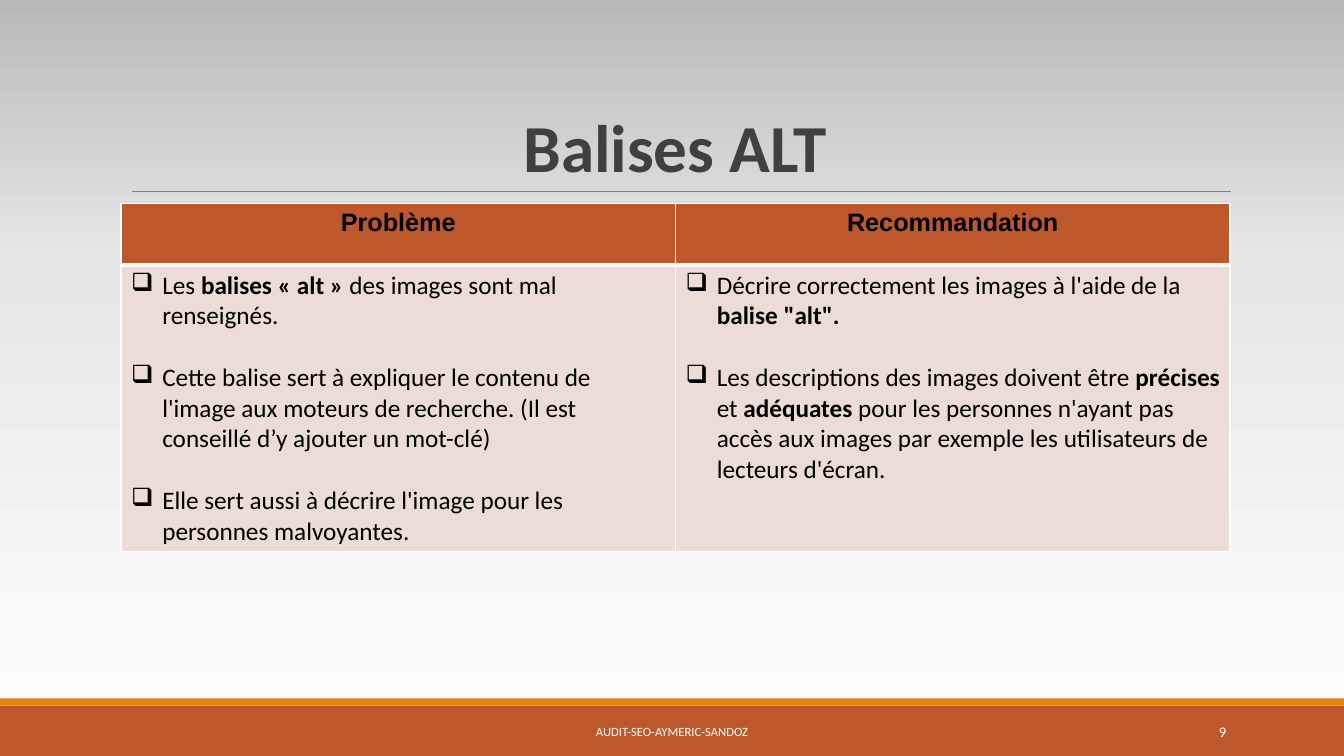
"""Build the 'Balises ALT' slide of an SEO audit."""
from copy import deepcopy

from lxml.etree import SubElement
from pptx import Presentation
from pptx.dml.color import RGBColor
from pptx.enum.shapes import MSO_CONNECTOR as Connector, MSO_SHAPE as Shape
from pptx.enum.text import MSO_ANCHOR as Anchor, PP_ALIGN as Align
from pptx.oxml.ns import qn
from pptx.util import Inches, Pt

RUST = RGBColor(0xBD, 0x58, 0x2C)
ORANGE = RGBColor(0xE4, 0x83, 0x12)
BLUSH = RGBColor(0xEB, 0xDC, 0xD5)
GREY = RGBColor(0x80, 0x80, 0x80)
CHARCOAL = RGBColor(0x40, 0x40, 0x40)
BLACK = RGBColor(0, 0, 0)
WHITE = RGBColor(0xFF, 0xFF, 0xFF)
BACKDROP = [
    (0, RGBColor(0xFE, 0xFE, 0xFE)),
    (0.65, RGBColor(0xE7, 0xE7, 0xE7)),
    (1, RGBColor(0xB9, 0xB9, 0xB9)),
]
COLUMNS, ROWS = 133.3, 75
LEFT, SPAN = 12, 110

HEADINGS = ["Problème", "Recommandation"]
PROBLEMS = [
    [("Les ", False), ("balises «\u00a0alt\u00a0» ", True),
     ("des images sont mal renseignés.", False)],
    [("Cette balise sert à expliquer le contenu de l'image aux moteurs de "
      "recherche. (Il est conseillé d’y ajouter un mot-clé)", False)],
    [("Elle sert aussi à décrire l'image pour les personnes malvoyantes.", False)],
]
ADVICE = [
    [("Décrire correctement les images à l'aide de la ", False),
     ('balise "alt".', True)],
    [("Les descriptions des images doivent être ", False), ("précises", True),
     (" et ", False), ("adéquates", True),
     (" pour les personnes n'ayant pas accès aux images par exemple les "
      "utilisateurs de lecteurs d'écran.", False)],
]


class Deck:
    """Hold the style, the grid and the current slide."""

    def __init__(self):
        self.show = Presentation()
        self.show.slide_width, self.show.slide_height = Inches(13.33), Inches(7.5)
        self.slide = self.show.slides.add_slide(self.show.slide_layouts[5])
        self.shapes = self.slide.shapes

    def x(self, columns):
        return round(self.show.slide_width * columns / COLUMNS)

    def y(self, rows):
        return round(self.show.slide_height * rows / ROWS)

    def box(self, left, top, width, height):
        return self.x(left), self.y(top), self.x(width), self.y(height)

    def style(self, paragraph, size, color, align=Align.LEFT, bold=None, name="Calibri"):
        paragraph.alignment = align
        font = paragraph.font
        font.size, font.name, font.bold = Pt(size), name, bold
        font.color.rgb = color

    def backdrop(self, stops):
        fill = self.slide.background.fill
        fill.gradient()
        fill.gradient_angle = 90
        stop_list = next(self.slide.element.iter(qn("a:gsLst")))
        stop_list.append(deepcopy(stop_list[0]))
        for stop, (position, color) in zip(fill.gradient_stops, stops):
            stop.position, stop.color.rgb = position, color

    def band(self, top, height, color):
        band = self.shapes.add_shape(Shape.RECTANGLE, *self.box(0, top, COLUMNS, height))
        band.shadow.inherit = False
        band.fill.solid()
        band.fill.fore_color.rgb = color
        band.line.fill.background()

    def rule(self, left, right, row):
        rule = self.shapes.add_connector(
            Connector.STRAIGHT, self.x(left), self.y(row), self.x(right), self.y(row))
        rule.line.color.rgb, rule.line.width = GREY, Pt(0.5)
        SubElement(rule.element.spPr, qn("a:effectLst"))

    def title(self, text, *place):
        title = self.shapes.title
        title.left, title.top, title.width, title.height = self.box(*place)
        title.text_frame.vertical_anchor = Anchor.BOTTOM
        title.text_frame.text = text
        heading = title.text_frame.paragraphs[0]
        heading.line_spacing = 0.85
        self.style(heading, 48, CHARCOAL, Align.CENTER, True)
        heading.runs[0].font.element.set("spc", "-50") if hasattr(
            heading.runs[0].font, "element") else heading.font

    def label(self, text, place, size, align):
        frame = self.shapes.add_textbox(*self.box(*place)).text_frame
        frame.word_wrap, frame.vertical_anchor = True, Anchor.MIDDLE
        frame.text = text
        self.style(frame.paragraphs[0], size, WHITE, align)

    def borders(self, cell, bottom=1):
        properties = cell.fill and cell._tc.get_or_add_tcPr()
        for position, (side, width) in enumerate(
                [("lnL", 1), ("lnR", 1), ("lnT", 1), ("lnB", bottom)]):
            line = SubElement(properties, qn(f"a:{side}"), w=str(Pt(width)))
            SubElement(SubElement(line, qn("a:solidFill")), qn("a:srgbClr"), val=str(WHITE))
            properties.insert(position, line)

    def bullets(self, frame, items):
        for index, item in enumerate(items):
            entry = frame.add_paragraph() if index else frame.paragraphs[0]
            for text, bold in item:
                run = entry.add_run()
                run.text, run.font.bold = text, bold
            indent = Inches(0.31)
            properties = entry._p.get_or_add_pPr()
            properties.set("marL", str(indent))
            properties.set("indent", str(-indent))
            SubElement(properties, qn("a:buChar"), char="❑")
            entry.space_before = Pt(22 if index else 0)
            self.style(entry, 18, BLACK)

    def table(self, headings, lists, left, top, width, heights):
        table = self.shapes.add_table(
            2, len(headings), *self.box(left, top, width, sum(heights))).table
        table.first_row = table.horz_banding = False
        for row, height in zip(table.rows, heights):
            row.height = self.y(height)
        for column, (heading, items) in enumerate(zip(headings, lists)):
            head, body = table.cell(0, column), table.cell(1, column)
            for cell, color, bottom in ((head, RUST, 3), (body, BLUSH, 1)):
                cell.fill.solid()
                cell.fill.fore_color.rgb = color
                self.borders(cell, bottom)
            head.text = heading
            self.style(head.text_frame.paragraphs[0], 18, BLACK, Align.CENTER, True, "Arial")
            self.bullets(body.text_frame, items)


deck = Deck()
deck.backdrop(BACKDROP)
deck.band(70, 5, RUST)
deck.band(69.3, 0.7, ORANGE)
deck.rule(13.1, 122.1, 19)
deck.title("Balises ALT", LEFT, 3.1, SPAN, 15.9)
deck.label("AUDIT-SEO-AYMERIC-SANDOZ", (40.3, 70.6, 52.7, 4), 9, Align.CENTER)
deck.label("9", (108.3, 70.6, 14.3, 4), 10.5, Align.RIGHT)
deck.table(HEADINGS, [PROBLEMS, ADVICE], LEFT, 20.2, SPAN, (6.1, 28.4))
deck.show.save("out.pptx")
